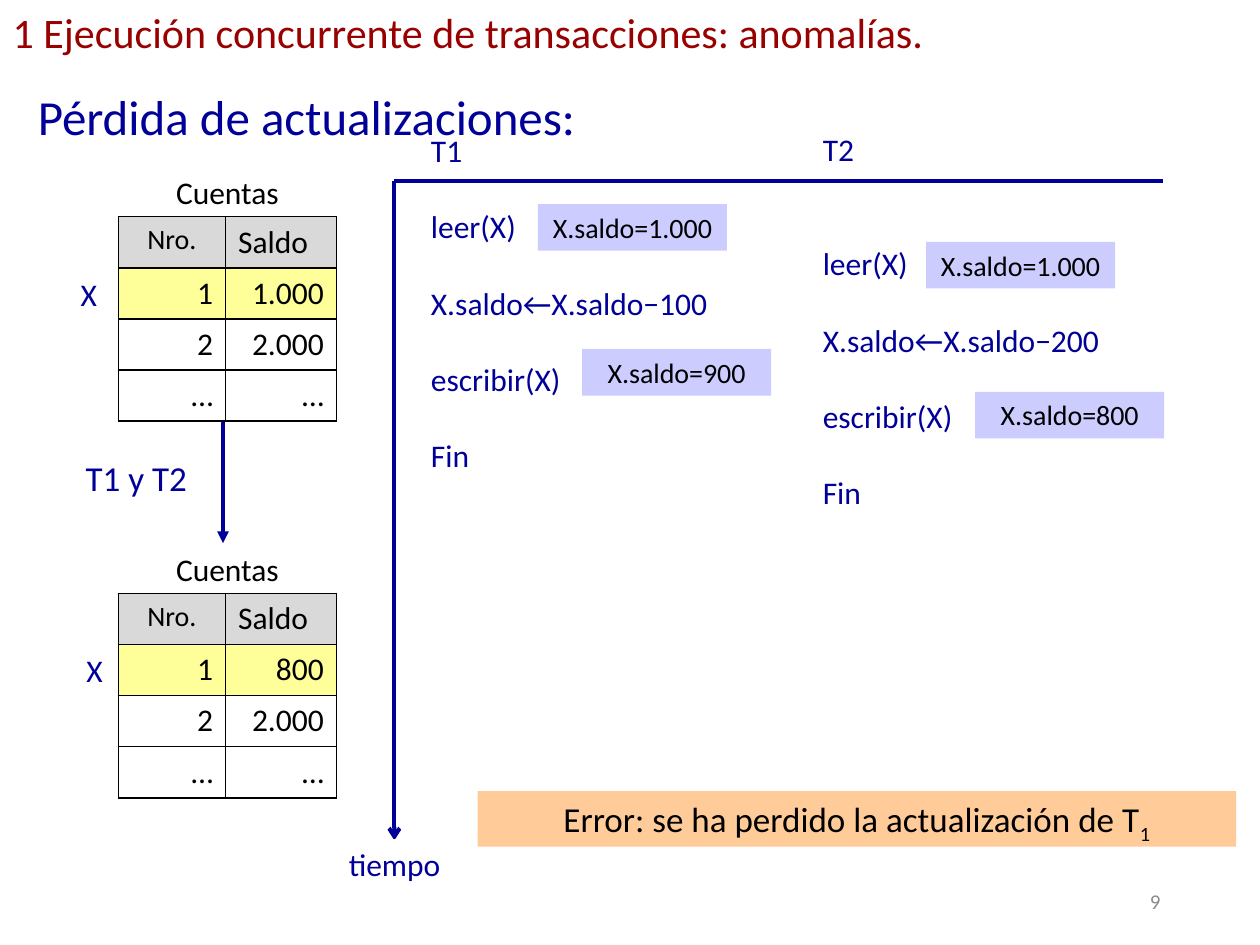
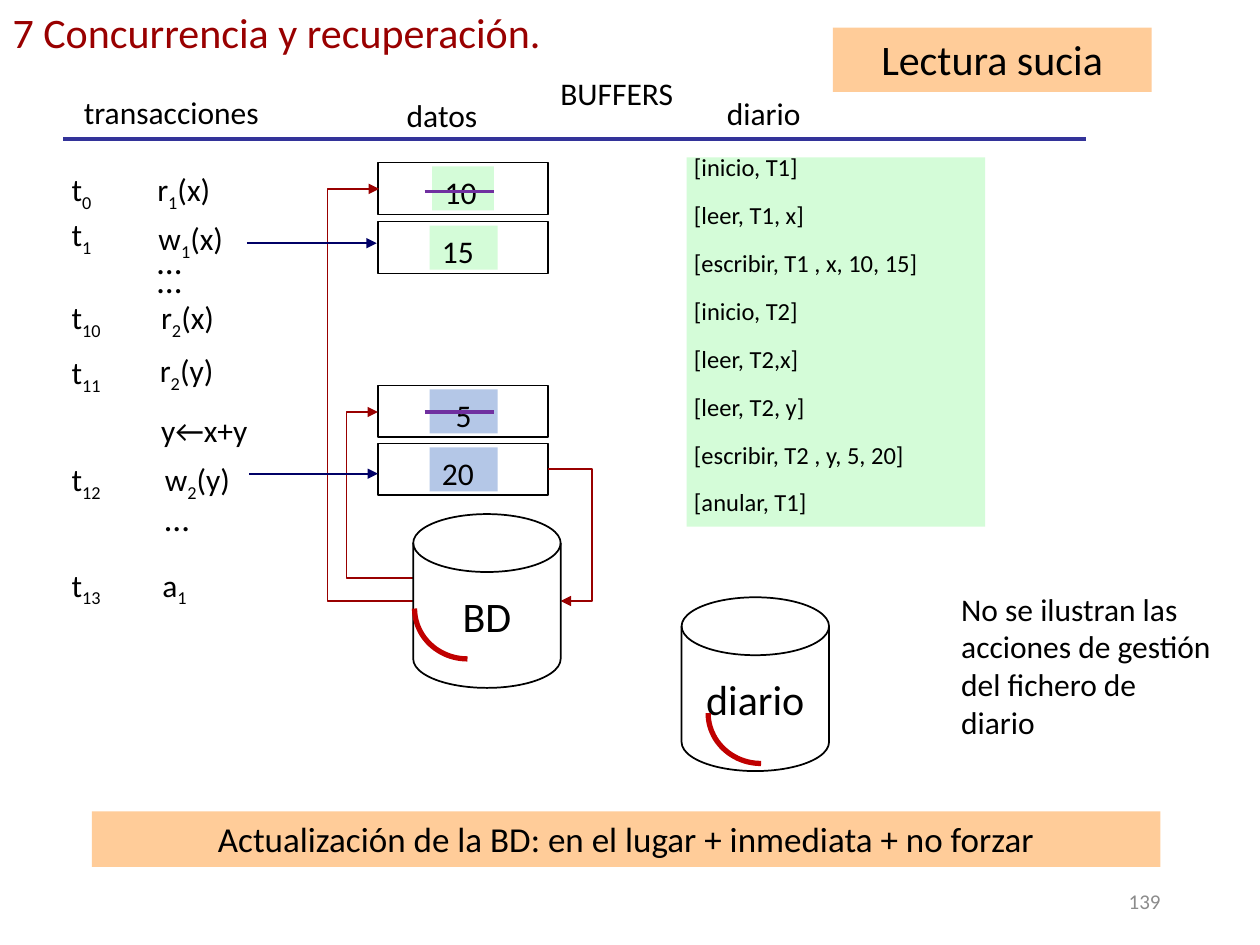
from math import cos, pi, sin

from pptx import Presentation
from pptx.dml.color import RGBColor
from pptx.enum.shapes import MSO_CONNECTOR, MSO_SHAPE
from pptx.enum.text import MSO_ANCHOR, MSO_AUTO_SIZE, PP_ALIGN
from pptx.oxml.ns import qn
from pptx.oxml.xmlchemy import OxmlElement
from pptx.util import Inches, Pt

WIDTH, HEIGHT = Inches(10), Inches(7.5)
COLUMN, ROW = WIDTH / 100, HEIGHT / 75
FONT = "Calibri"
COLOURS = {
    "black": "000000", "white": "FFFFFF", "title": "990000", "blue": "000099",
    "navy": "000066", "rule": "333399", "grey": "8C8C8C", "head": "D9D9D9",
    "yellow": "FFFF99", "orange": "FFCC99", "lilac": "CCCCFF",
    "green": "D4FCD8", "sky": "B4C7E7", "purple": "7030A0", "red": "C00000",
}
LEFT, CENTER, RIGHT = PP_ALIGN.LEFT, PP_ALIGN.CENTER, PP_ALIGN.RIGHT


def colour(name):
    return RGBColor.from_string(COLOURS[name])


def place(left, top, width, height):
    return (round(left * COLUMN), round(top * ROW),
            round(width * COLUMN), round(height * ROW))


def fill_paragraph(para, text, size, ink, align):
    para.alignment = align
    for position, part in enumerate(text.split("|")):
        span = para.add_run()
        span.text = part
        span.font.name = FONT
        span.font.size = Pt(size)
        span.font.color.rgb = colour(ink)
        if position % 2:
            span.font._element.set("baseline", "-25000")


def write(frame, lines, size=18, ink="black", align=LEFT, inset=0.1,
          middle=False, wrap=True, gap=0):
    frame.auto_size = MSO_AUTO_SIZE.NONE
    frame.word_wrap = wrap
    frame.vertical_anchor = MSO_ANCHOR.MIDDLE if middle else MSO_ANCHOR.TOP
    frame.margin_left = Inches(inset)
    frame.margin_right = Inches(min(inset, 0.1))
    frame.margin_top = Inches(0 if middle else 0.05)
    frame.margin_bottom = 0
    for number, text in enumerate(lines):
        para = frame.add_paragraph() if number else frame.paragraphs[0]
        para.space_before = Pt(gap if number else 0)
        fill_paragraph(para, text, size, ink, align)


def add_text(page, at, *lines, **style):
    box = page.shapes.add_textbox(*place(*at))
    write(box.text_frame, lines, **style)
    return box


def paint(shape, fill=None, line=None, weight=1):
    shape.shadow.inherit = False
    if fill:
        shape.fill.solid()
        shape.fill.fore_color.rgb = colour(fill)
    else:
        shape.fill.background()
    if line:
        shape.line.color.rgb = colour(line)
        shape.line.width = Pt(weight)
    else:
        shape.line.fill.background()


def add_box(page, at, fill=None, line=None, weight=1, text=None,
            kind=MSO_SHAPE.RECTANGLE, **style):
    box = page.shapes.add_shape(kind, *place(*at))
    paint(box, fill, line, weight)
    if text:
        write(box.text_frame, [text], **style)
    return box


def add_line(page, start, end, ink, weight, head=None, via=None):
    kind = MSO_CONNECTOR.STRAIGHT if via is None else MSO_CONNECTOR.ELBOW
    (x1, y1), (x2, y2) = start, end
    ends = round(x1 * COLUMN), round(y1 * ROW), round(x2 * COLUMN), round(y2 * ROW)
    connector = page.shapes.add_connector(kind, *ends)
    connector.line.color.rgb = colour(ink)
    connector.line.width = Pt(weight)
    properties = connector._element.spPr
    if head:
        tail = OxmlElement("a:tailEnd")
        tail.set("type", head)
        properties.find(qn("a:ln")).append(tail)
    if via is not None:
        guide = OxmlElement("a:gd")
        guide.set("name", "adj1")
        guide.set("fmla", f"val {round((via - x1) / (x2 - x1) * 100000)}")
        properties.find(qn("a:prstGeom")).get_or_add_avLst().append(guide)
    properties.append(OxmlElement("a:effectLst"))


def add_arc(page, left, top, width=4.2, height=4, steps=24):
    angles = [pi / 2 * step / steps for step in range(steps + 1)]
    points = [(round((left + width * (1 - cos(angle))) * COLUMN),
               round((top + height * sin(angle)) * ROW)) for angle in angles]
    builder = page.shapes.build_freeform(*points[0])
    builder.add_line_segments(points[1:], close=False)
    paint(builder.convert_to_shape(), line="red", weight=3)


def add_disk(page, left, top, text, fill=None):
    add_box(page, (left, top, 11.7, 13.8), fill, "black", text=text,
            kind=MSO_SHAPE.FLOWCHART_MAGNETIC_DISK, size=24, align=CENTER,
            middle=True, wrap=False)


def border_cell(cell):
    properties = cell._tc.get_or_add_tcPr()
    for side in ("lnL", "lnR", "lnT", "lnB"):
        edge = OxmlElement(f"a:{side}")
        edge.set("w", str(Pt(1)))
        fill = OxmlElement("a:solidFill")
        ink = OxmlElement("a:srgbClr")
        ink.set("val", COLOURS["black"])
        fill.append(ink)
        edge.append(fill)
        properties.append(edge)


def add_accounts(page, top, balance):
    records = [("Nro.", "Saldo"), ("1", balance), ("2", "2.000"), ("…", "…")]
    fills = ["head", "yellow", "white", "white"]
    table = page.shapes.add_table(4, 2, *place(9.4, top, 17.3, 16.2)).table
    table.first_row = table.horz_banding = False
    for column, width in zip(table.columns, (8.5, 8.8)):
        column.width = round(width * COLUMN)
    for row, (record, fill) in enumerate(zip(records, fills)):
        for column, text in enumerate(record):
            cell = table.cell(row, column)
            border_cell(cell)
            cell.fill.solid()
            cell.fill.fore_color.rgb = colour(fill)
            align = RIGHT if row else (CENTER, LEFT)[column]
            size = 16 if text == "Nro." else 18
            fill_paragraph(cell.text_frame.paragraphs[0], text, size, "black", align)
    add_text(page, (11.5, top - 3.95, 13.1, 4), "Cuentas", align=CENTER)


def start_page(deck, title, width, number):
    page = deck.slides.add_slide(deck.slide_layouts[5])
    holder = page.shapes.title
    holder.left, holder.top, holder.width, holder.height = place(0, 0, width, 5)
    write(holder.text_frame, [title], size=24, ink="title", wrap=False)
    add_text(page, (70.6, 69.5, 22.5, 4), number, size=12, ink="grey",
             align=RIGHT, middle=True)
    return page


def build_lost_update(deck):
    page = start_page(
        deck, "1 Ejecución concurrente de transacciones: anomalías.", 75, "9")
    add_text(page, (0, 6.4, 87.3, 5.7), "Pérdida de actualizaciones:",
             size=28, ink="blue", inset=0.3)
    add_box(page, (6.8, 35.7, 10.8, 4.4), "white", text="T1 y T2", size=20,
            ink="blue", inset=0)
    add_line(page, (17.7, 30.9), (17.7, 43.1), "blue", 2.25, "triangle")
    add_line(page, (31.3, 14.4), (31.3, 66.7), "blue", 2.25, "arrow")
    add_line(page, (31.3, 14.4), (92.3, 14.4), "blue", 2.25)
    add_accounts(page, 17.2, "1.000")
    add_accounts(page, 47.1, "800")
    for at in [(3.5, 21.3, 7.1, 4), (5.5, 51.2, 4, 4)]:
        add_text(page, at, "X", ink="blue", align=CENTER)
    add_box(page, (26.7, 66.6, 9.6, 4), "white", text="tiempo", ink="blue", wrap=False)
    add_box(page, (37.9, 62.8, 60.2, 4.4), "orange", size=20, align=CENTER,
            text="Error: se ha perdido la actualización de T|1")
    schedules = [(34.2, 9.9, 28.3, "T1", "100", 22),
                 (65.3, 9.8, 31.3, "T2", "200", 44)]
    for left, top, height, name, amount, first_gap in schedules:
        box = add_text(page, (left, top, 25.2, height), name, "leer(X)",
                       f"X.saldo←X.saldo−{amount}", "escribir(X)", "Fin",
                       ink="blue", inset=0, gap=22)
        box.text_frame.paragraphs[1].space_before = Pt(first_gap)
    for left, top, value in [(42.7, 16.2, "1.000"), (73.5, 19.2, "1.000"),
                             (46.2, 27.7, "900"), (77.4, 31.1, "800")]:
        add_box(page, (left, top, 15, 3.7), "lilac", text=f"X.saldo={value}",
                size=16, align=CENTER)


def add_operations(page):
    for top, time in [(13, "t|0"), (16.6, "t|1"), (23.2, "t|10"),
                      (27.5, "t|11"), (36, "t|12"), (44.4, "t|13")]:
        add_text(page, (4.7, top, 7, 4), time)
    for left, top, operation in [
            (11.5, 13, "r|1|(x)"), (11.6, 16.9, "w|1|(x)"), (11.8, 23.2, "r|2|(x)"),
            (11.7, 27.4, "r|2|(y)"), (11.8, 32.1, "y←x+y"), (12.1, 36, "w|2|(y)"),
            (11.9, 44.4, "a|1")]:
        add_text(page, (left, top, 10, 4), operation)
    pair = add_text(page, (11.5, 18.5, 9.8, 5.6), "…", "…", size=20, gap=4)
    single = add_text(page, (12.1, 41.3, 9.8, 2), "…", size=20)
    for box in (pair, single):
        box.text_frame.paragraphs[-1].line_spacing = 0.15


def add_buffers(page):
    for top, value, fill, left, width, align in [
            (12.9, "10", "green", 34.3, 4.9, LEFT),
            (17.6, "15", "green", 34.1, 5.4, LEFT),
            (30.6, "5", "sky", 34.1, 5.4, CENTER),
            (35.2, "20", "sky", 34.1, 5.4, LEFT)]:
        add_box(page, (30, top, 13.5, 4.1), line="black", weight=0.75)
        add_box(page, (left, top + 0.3, width, 3.5), fill, text=value, align=align)
    for row in (15.2, 32.7):
        add_line(page, (33.7, row), (39.2, row), "purple", 2.25)


def add_journal(page):
    add_box(page, (54.5, 12.5, 23.7, 29.3), "green")
    entries = ["inicio, T1", "leer, T1, x", "escribir, T1 , x, 10, 15", "inicio, T2",
               "leer, T2,x", "leer, T2, y", "escribir, T2 , y, 5, 20", "anular, T1"]
    for number, entry in enumerate(entries):
        add_text(page, (54.1, 11.6 + 3.8 * number, 25, 3.4), f"[{entry}]", size=14)


def build_dirty_read(deck):
    page = start_page(deck, "7 Concurrencia y recuperación.", 44.5, "139")
    add_box(page, (66.1, 2.2, 25.3, 5.1), "orange", text="Lectura sucia",
            size=24, align=CENTER)
    add_line(page, (5, 11), (86.2, 11), "rule", 2.25)
    for left, top, width, heading, align in [
            (3.6, 6.9, 20, "transacciones", CENTER), (31.3, 7.1, 10.3, "datos", LEFT),
            (43.1, 5.4, 11.7, "BUFFERS", CENTER), (56.7, 7, 9.8, "diario", LEFT)]:
        add_text(page, (left, top, width, 4), heading, align=align)
    add_operations(page)
    add_buffers(page)
    add_journal(page)
    for start, end, via in [((32.8, 45.9), (30, 32.7), 27.5),
                            ((43.5, 37.2), (44.5, 47.7), 47),
                            ((32.8, 47.7), (30.1, 15), 26)]:
        add_line(page, start, end, "title", 1, "triangle", via)
    for left, right, row in [(19.6, 29.9, 19.3), (19.8, 30, 37.6)]:
        add_line(page, (left, row), (right, row), "navy", 1, "triangle")
    add_disk(page, 32.8, 40.8, "BD", "white")
    add_disk(page, 54.1, 47.4, "diario")
    add_arc(page, 32.9, 48.3)
    add_arc(page, 56.2, 56.6)
    add_text(page, (75.3, 46.3, 21.8, 13.1),
             "No se ilustran las acciones de gestión del fichero de diario")
    add_box(page, (7.3, 64.4, 84.8, 4.4), "orange", size=20, align=CENTER,
            text="Actualización de la BD: en el lugar + inmediata + no forzar")


def main():
    deck = Presentation()
    deck.slide_width, deck.slide_height = WIDTH, HEIGHT
    build_lost_update(deck)
    build_dirty_read(deck)
    deck.save("out.pptx")


if __name__ == "__main__":
    main()
